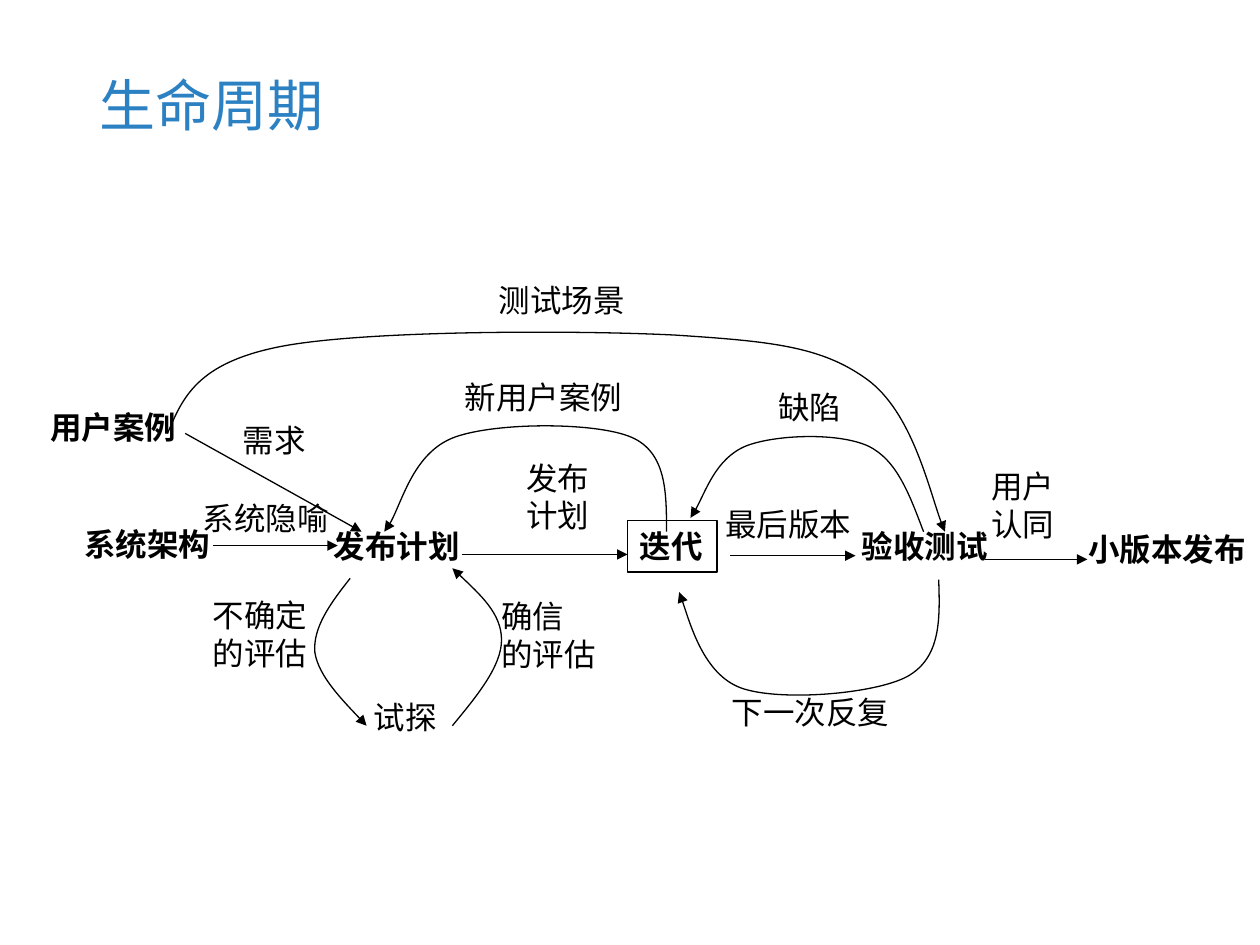
import dataclasses

import lxml.etree
import pptx
import pptx.dml.color
import pptx.enum.dml
import pptx.enum.shapes
import pptx.enum.text
import pptx.oxml.ns
import pptx.util

Inches = pptx.util.Inches
Pt = pptx.util.Pt
RGB = pptx.dml.color.RGBColor
qn = pptx.oxml.ns.qn


@dataclasses.dataclass(frozen=True)
class Theme:
    """Colours, fonts and sizes of the slide."""
    ink: RGB = RGB(0, 0, 0)
    accent: RGB = RGB(0x2C, 0x81, 0xC3)
    title_font: str = "Noto Sans CJK SC"
    body_font: str = "Arial"
    title_size: int = 32
    body_size: int = 18
    line_width: float = 0.75
    glyph: float = 0.25
    line_height: float = 0.3
    inset: float = 0.1


@dataclasses.dataclass(frozen=True)
class Box:
    """A region of the slide in inches."""
    x: float
    y: float
    w: float
    h: float


THEME = Theme()

STAGES = [
    ("用户案例", 0.3, 1.19),
    ("系统架构", 0.57, 2.12),
    ("发布计划", 2.55, 2.13),
    ("验收测试", 6.74, 2.13),
    ("小版本发布", 8.54, 2.16),
]
LABELS = [
    ("试探", 2.87, 3.49),
    ("需求", 1.83, 1.29),
    ("测试场景", 3.86, 0.18),
    ("系统隐喻", 1.51, 1.91),
    ("缺陷", 6.08, 1.03),
    ("新用户案例", 3.59, 0.95),
    ("不确定\n的评估", 1.59, 2.68),
    ("确信\n的评估", 3.88, 2.69),
    ("下一次反复", 5.71, 3.45),
    ("最后版本", 5.66, 1.96),
]
WRAPPED_LABELS = [("发布计划", 4.08, 1.59), ("用户认同", 7.77, 1.66)]
ARROWS = [
    ((1.47, 1.44), (2.87, 2.22)),
    ((1.69, 2.33), (2.68, 2.33)),
    ((3.67, 2.4), (4.98, 2.4)),
    ((5.79, 2.41), (6.79, 2.41)),
    ((7.82, 2.44), (8.63, 2.44)),
]
CURVES = [
    [(5.29, 2.22), (5.29, 1.91), (5.29, 1.59), (5.01, 1.47), (4.73, 1.35),
     (3.94, 1.35), (3.61, 1.47), (3.28, 1.59), (3.16, 2.11), (3.05, 2.22)],
    [(7.33, 2.22), (7.22, 1.93), (7.12, 1.65), (6.89, 1.54), (6.65, 1.43),
     (6.15, 1.45), (5.92, 1.54), (5.68, 1.64), (5.57, 1.99), (5.48, 2.11)],
    [(2.78, 2.59), (2.63, 2.78), (2.48, 2.98), (2.5, 3.18), (2.53, 3.37),
     (2.78, 3.62), (2.91, 3.76)],
    [(3.59, 3.76), (3.78, 3.53), (3.98, 3.29), (3.98, 3.08), (3.98, 2.87),
     (3.78, 2.69), (3.59, 2.51)],
    [(7.45, 2.6), (7.46, 2.91), (7.47, 3.22), (7.2, 3.37), (6.94, 3.51),
     (6.18, 3.57), (5.88, 3.46), (5.58, 3.35), (5.4, 2.71), (5.39, 2.7)],
    [(1.33, 1.44), (1.45, 1.16), (1.56, 0.88), (2.23, 0.75), (2.9, 0.62),
     (4.58, 0.62), (5.36, 0.66), (6.13, 0.71), (6.52, 0.75), (6.88, 1.01),
     (7.24, 1.27), (7.4, 2.0), (7.5, 2.22)],
]


def set_attrs(target, values):
    """Set every attribute named in a dict."""
    for name, value in values.items():
        setattr(target, name, value)


def write(sp, text, font, frame, paragraph=None):
    """Fill a shape with formatted paragraphs."""
    tf = sp.text_frame
    set_attrs(tf, frame)
    for i, line in enumerate(text.split("\n")):
        p = tf.add_paragraph() if i else tf.paragraphs[0]
        set_attrs(p, {"alignment": pptx.enum.text.PP_ALIGN.LEFT, **(paragraph or {})})
        r = p.add_run()
        r.text = line
        color = font["color"]
        set_attrs(r.font, {k: v for k, v in font.items() if k != "color"})
        r.font.color.rgb = color


def write_body(sp, text, bold=False, wrap=False):
    """Write diagram text in the body style."""
    font = {"name": THEME.body_font, "size": Pt(THEME.body_size),
            "bold": bold, "color": THEME.ink}
    frame = {"word_wrap": wrap,
             "auto_size": pptx.enum.text.MSO_AUTO_SIZE.SHAPE_TO_FIT_TEXT}
    write(sp, text, font, frame)


def add_label(s, box, text, x, y, bold=False, width=None):
    """Add a text box sized by its characters, or wrapped to a given width."""
    lines = text.split("\n")
    w = width or THEME.glyph * max(map(len, lines)) + 2 * THEME.inset
    rows = 2 if width else len(lines)
    sp = s.shapes.add_textbox(Inches(box.x + x), Inches(box.y + y), Inches(w),
                              Inches(THEME.line_height * rows + THEME.inset))
    write_body(sp, text, bold, bool(width))


def style_line(sp, arrow=True):
    """Give a shape the thin ink line, with an arrowhead if wanted."""
    sp.line.color.rgb = THEME.ink
    sp.line.width = Pt(THEME.line_width)
    if arrow:
        ln = sp.line._get_or_add_ln()
        lxml.etree.SubElement(ln, qn("a:tailEnd"), type="triangle")


def add_arrow(s, box, start, end):
    """Add a straight arrow."""
    points = [Inches(v) for x, y in (start, end) for v in (box.x + x, box.y + y)]
    sp = s.shapes.add_connector(pptx.enum.shapes.MSO_CONNECTOR.STRAIGHT, *points)
    style_line(sp)
    lxml.etree.SubElement(sp._element.spPr, qn("a:effectLst"))


def add_curve(s, box, points):
    """Add a curved arrow through cubic Bezier control points."""
    points = [(Inches(box.x + x), Inches(box.y + y)) for x, y in points]
    builder = s.shapes.build_freeform(*points[0])
    builder.add_line_segments(points[1:], close=False)
    sp = builder.convert_to_shape()
    segments = list(sp._element.iter(qn("a:lnTo")))
    for i in range(0, len(segments), 3):
        cubic = lxml.etree.SubElement(segments[i].getparent(), qn("a:cubicBezTo"))
        for segment in segments[i:i + 3]:
            cubic.append(segment[0])
            segment.getparent().remove(segment)
    sp.shadow.inherit = False
    sp.fill.background()
    style_line(sp)


def add_title(s, box):
    """Add the slide title."""
    sp = s.shapes.add_textbox(*(Inches(v) for v in (box.x, box.y, box.w, box.h)))
    font = {"name": THEME.title_font, "size": Pt(THEME.title_size), "color": THEME.accent}
    write(sp, "生命周期", font, {"word_wrap": True}, {"line_spacing": 0.9})


def add_iteration(s, box):
    """Add the outlined iteration stage."""
    sp = s.shapes.add_shape(pptx.enum.shapes.MSO_SHAPE.RECTANGLE,
                            *(Inches(v) for v in (box.x, box.y, box.w, box.h)))
    sp.shadow.inherit = False
    sp.fill.background()
    style_line(sp, arrow=False)
    write_body(sp, "迭代", bold=True)


def add_lifecycle(s, box):
    """Add the stages, flows and flow labels of the life cycle."""
    for stage in STAGES:
        add_label(s, box, *stage, bold=True)
    add_iteration(s, Box(box.x + 4.98, box.y + 2.13, 0.71, 0.41))
    for label in LABELS:
        add_label(s, box, *label)
    for label in WRAPPED_LABELS:
        add_label(s, box, *label, width=0.8)
    for start, end in ARROWS:
        add_arrow(s, box, start, end)
    for points in CURVES:
        add_curve(s, box, points)


def main():
    """Build and save the slide."""
    prs = pptx.Presentation()
    set_attrs(prs, {"slide_width": Inches(10), "slide_height": Inches(7.5)})
    s = prs.slides.add_slide(prs.slide_layouts[6])
    add_lifecycle(s, Box(0, 2, 10, 4))
    add_title(s, Box(0.69, 0.57, 8.62, 0.97))
    prs.save("out.pptx")


if __name__ == "__main__":
    main()
